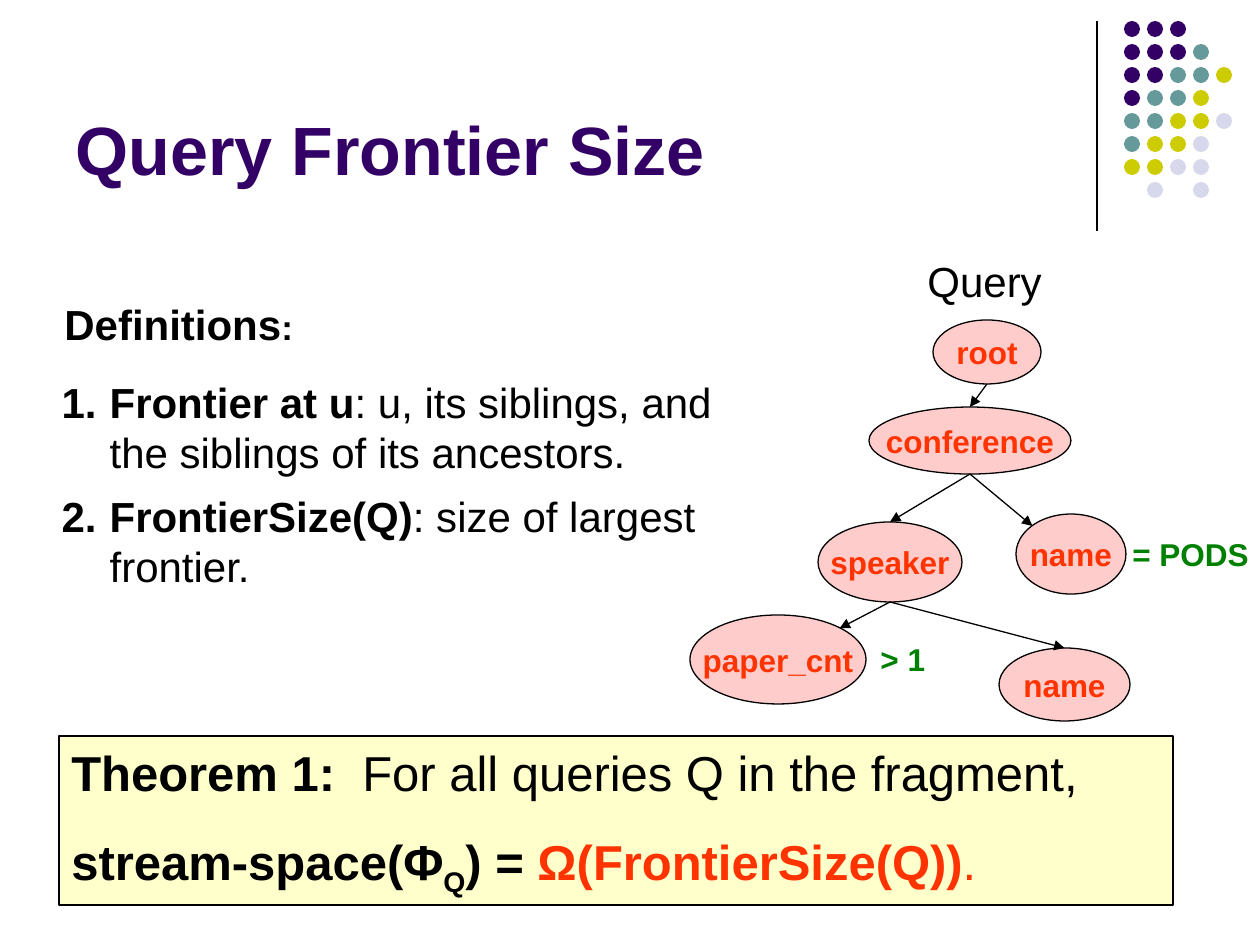
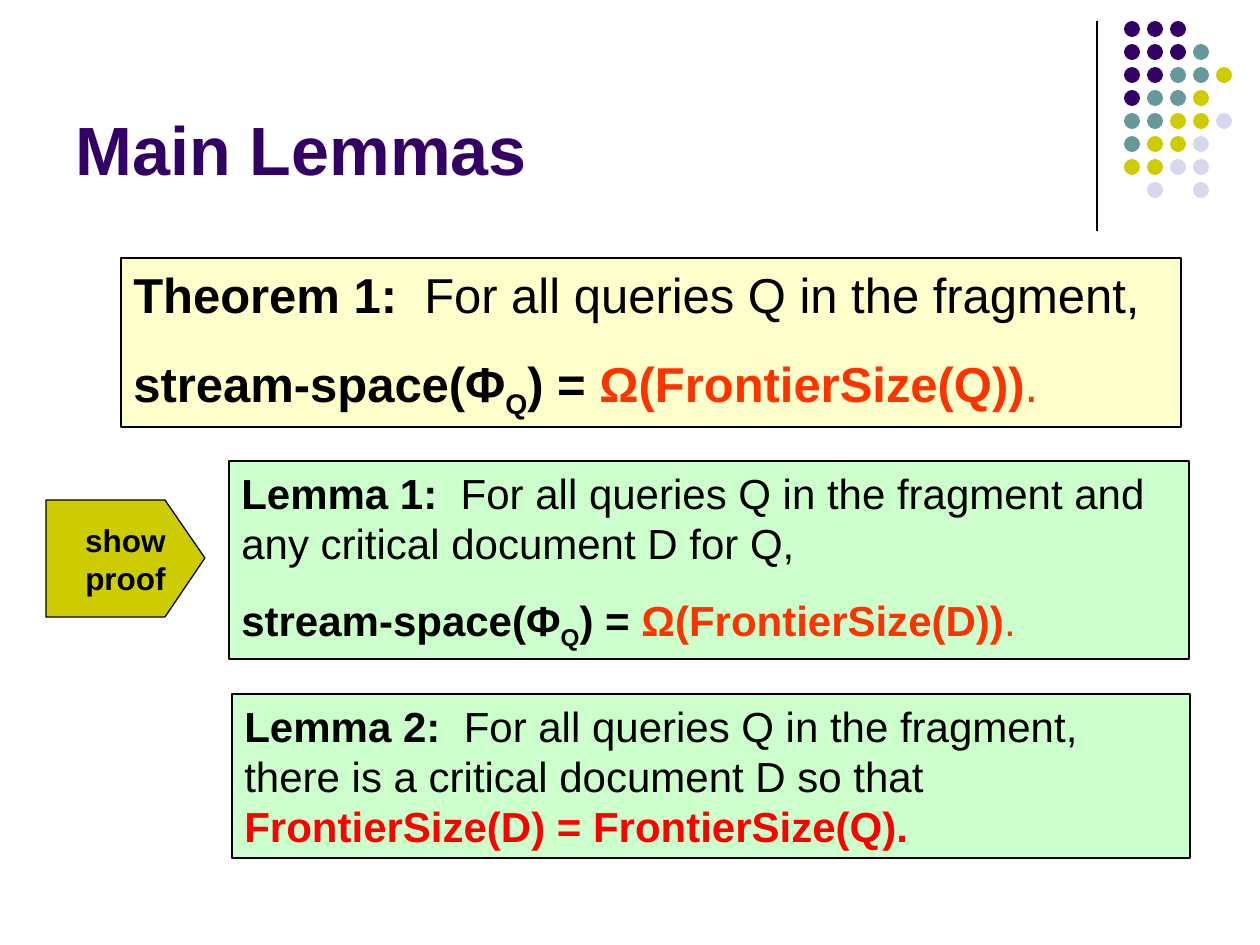
from dataclasses import dataclass

from lxml.etree import SubElement
from pptx import Presentation
from pptx.dml.color import RGBColor
from pptx.enum.shapes import MSO_CONNECTOR as Line, MSO_SHAPE as Shape
from pptx.enum.text import MSO_ANCHOR as Anchor, MSO_AUTO_SIZE as AutoSize, PP_ALIGN as Align
from pptx.oxml.ns import qn
from pptx.util import Emu, Pt


@dataclass(frozen=True)
class Theme:
    font: str = "Arial"
    ink: str = "000000"
    purple: str = "330066"
    teal: str = "669999"
    olive: str = "CCCC00"
    lilac: str = "D8D8EC"
    accent: str = "FF3300"
    red: str = "FF0000"
    green: str = "008000"
    node: str = "FFCCCC"
    theorem: str = "FFFFCC"
    lemma: str = "CCFFCC"
    title_size: float = 39
    theorem_size: float = 28
    text_size: float = 24
    colon_size: float = 20
    node_size: float = 18
    outline: float = 0.75


THEME = Theme()
PX_PER_INCH = 126
LAYOUT_LIST, LAYOUT_TITLE_ONLY = 1, 5

# Span styles: what a span changes from its paragraph
PLAIN = {}
BOLD = {"bold": True}
SUBSCRIPT = {"bold": True, "baseline": -25}
CLAIM = {"bold": True, "color": THEME.accent}
CLAIM_END = {"color": THEME.accent}
RESULT = {"bold": True, "color": THEME.red}


def bound(document):
    """Spans of the space bound formula for a query or document letter."""
    return [("stream-space(Φ", BOLD), ("Q", SUBSCRIPT), (") = ", BOLD),
            (f"Ω(FrontierSize({document}))", CLAIM), (".", CLAIM_END)]


# Master decoration
TITLE_BOX = (63, 16, 1040, 179)
RULE = ((1097, 21), (1097, 231))
DOT_ROWS = ["PPP", "PPPT", "PPTTY", "PTTY", "TTYYL", "TYYL", "YYLL", " L L"]
DOT_COLORS = {"P": THEME.purple, "T": THEME.teal, "Y": THEME.olive, "L": THEME.lilac}
DOT_ORIGIN, DOT_PITCH, DOT_SIZE = (1124, 21), 23, 16

# Query frontier slide
DEFINITIONS = [
    [("Frontier at u", BOLD), (": u, its siblings, and the siblings of its ancestors.", PLAIN)],
    [("FrontierSize(Q)", BOLD), (": size of largest frontier.", PLAIN)],
]
DEFINITIONS_BOX, LIST_INDENT = (49, 370, 687, 230), 48
LABELS = [
    ((52, 292, 255, 63), THEME.text_size, THEME.ink,
     [("Definitions", BOLD), (":", {"bold": True, "size": THEME.colon_size})]),
    ((915, 249, 170, 63), THEME.text_size, THEME.ink, [("Query", PLAIN)]),
    ((1120, 529, 150, 50), THEME.node_size, THEME.green, [("= PODS", BOLD)]),
    ((868, 634, 72, 50), THEME.node_size, THEME.green, [("> 1", BOLD)]),
]
QUERY_NODES = {
    "root": ("root", (933, 320, 108, 64)),
    "conference": ("conference", (869, 407, 202, 67)),
    "speaker": ("speaker", (818, 522, 144, 80)),
    "conference name": ("name", (1016, 514, 110, 80)),
    "paper count": ("paper_cnt", (690, 615, 176, 89)),
    "speaker name": ("name", (999, 648, 131, 73)),
}
QUERY_EDGES = [
    ("root", "conference", "top"),
    ("conference", "speaker", "top"),
    ("conference", "conference name", "top left"),
    ("speaker", "paper count", "top right"),
    ("speaker", "speaker name", "top"),
]
# Points on an ellipse as shares of its width and height
ELLIPSE_SITES = {"top": (0.5, 0), "bottom": (0.5, 1),
                 "top left": (0.15, 0.15), "top right": (0.85, 0.15)}

# Statements
THEOREM = [[("Theorem 1:  ", BOLD), ("For all queries Q in the fragment,", PLAIN)], bound("Q")]
LEMMA_1 = [[("Lemma 1:  ", BOLD),
            ("For all queries Q in the fragment and any critical document D for Q,", PLAIN)],
           bound("D")]
LEMMA_2 = [[("Lemma 2:  ", BOLD),
            ("For all queries Q in the fragment, there is a critical document D so that ", PLAIN),
            ("FrontierSize(D) = FrontierSize(Q).", RESULT)]]
THEOREM_LOOK = (THEME.theorem, THEME.theorem_size, 17.5)
LEMMA_LOOK = (THEME.lemma, THEME.text_size, 15)
FRONTIER_STATEMENTS = [((59, 736, 1114, 169), THEOREM, THEOREM_LOOK)]
LEMMA_STATEMENTS = [
    ((121, 258, 1060, 169), THEOREM, THEOREM_LOOK),
    ((229, 461, 960, 198), LEMMA_1, LEMMA_LOOK),
    ((232, 694, 958, 164), LEMMA_2, LEMMA_LOOK),
]
PROOF_FLAG = [(46, 500), (165, 500), (205, 558), (165, 617), (46, 617)]
PROOF_WORDS = [[("show", BOLD)], [("proof", BOLD)]]


def px(length):
    return Emu(round(length * 914400 / PX_PER_INCH))


def emus(lengths):
    return [px(length) for length in lengths]


def rgb(color):
    return RGBColor.from_string(color)


def write(frame, paragraphs, size, color=THEME.ink, align=Align.LEFT, space=0):
    """Fill a text frame with paragraphs, each a list of (text, style) spans."""
    for index, spans in enumerate(paragraphs):
        para = frame.paragraphs[0] if index == 0 else frame.add_paragraph()
        para.alignment = align
        para.space_before = Pt(space)
        para.font.name = THEME.font
        para.font.size = Pt(size)
        para.font.color.rgb = rgb(color)
        for text, style in spans:
            span = para.add_run()
            span.text = text
            span.font.bold = style.get("bold", False)
            if "size" in style:
                span.font.size = Pt(style["size"])
            if "color" in style:
                span.font.color.rgb = rgb(style["color"])
            if "baseline" in style:
                span._r.get_or_add_rPr().set("baseline", str(style["baseline"] * 1000))


def paint(shape, fill, outlined=True):
    shape.shadow.inherit = False
    shape.fill.solid()
    shape.fill.fore_color.rgb = rgb(fill)
    if outlined:
        shape.line.color.rgb = rgb(THEME.ink)
        shape.line.width = Pt(THEME.outline)
    else:
        shape.line.fill.background()


def add_line(page, start, end, arrow=False):
    line = page.shapes.add_connector(Line.STRAIGHT, *emus(start), *emus(end))
    line.line.color.rgb = rgb(THEME.ink)
    line.line.width = Pt(THEME.outline)
    properties = line.element.spPr
    if arrow:
        SubElement(properties.find(qn("a:ln")), qn("a:tailEnd"), type="triangle")
    SubElement(properties, qn("a:effectLst"))
    return line


def add_label(page, box, size, color, spans):
    frame = page.shapes.add_textbox(*emus(box)).text_frame
    frame.word_wrap = True
    write(frame, [spans], size, color)


def add_statement(page, box, paragraphs, look):
    fill, size, space = look
    panel = page.shapes.add_shape(Shape.RECTANGLE, *emus(box))
    paint(panel, fill)
    panel.text_frame.vertical_anchor = Anchor.TOP
    write(panel.text_frame, paragraphs, size, space=space)


def write_centred(shape, paragraphs, color):
    frame = shape.text_frame
    frame.word_wrap = False
    frame.vertical_anchor = Anchor.MIDDLE
    write(frame, paragraphs, THEME.node_size, color, Align.CENTER)


def ellipse_point(node, site):
    left, top, width, height = QUERY_NODES[node][1]
    across, down = ELLIPSE_SITES[site]
    return left + across * width, top + down * height


def add_query_tree(page):
    for name, box in QUERY_NODES.values():
        node = page.shapes.add_shape(Shape.OVAL, *emus(box))
        paint(node, THEME.node)
        write_centred(node, [[(name, BOLD)]], THEME.accent)
    for parent, child, site in QUERY_EDGES:
        add_line(page, ellipse_point(parent, "bottom"), ellipse_point(child, site), arrow=True)


def add_definitions(page):
    body = page.placeholders[1]
    body.left, body.top, body.width, body.height = emus(DEFINITIONS_BOX)
    body.text_frame.auto_size = AutoSize.NONE
    write(body.text_frame, DEFINITIONS, THEME.text_size, space=7.5)
    for para in body.text_frame.paragraphs:
        properties = para._p.get_or_add_pPr()
        properties.set("marL", str(px(LIST_INDENT)))
        properties.set("indent", str(-px(LIST_INDENT)))
        numbering = properties.makeelement(qn("a:buAutoNum"), {"type": "arabicPeriod"})
        properties.find(qn("a:defRPr")).addprevious(numbering)


def add_proof_flag(page):
    first, *others = PROOF_FLAG
    builder = page.shapes.build_freeform(*emus(first), scale=1.0)
    builder.add_line_segments([emus(point) for point in others], close=True)
    flag = builder.convert_to_shape()
    paint(flag, THEME.olive)
    write_centred(flag, PROOF_WORDS, THEME.ink)


def add_page(deck, layout, title):
    page = deck.slides.add_slide(deck.slide_layouts[layout])
    frame = page.shapes.title.text_frame
    frame.auto_size = AutoSize.NONE
    write(frame, [[(title, BOLD)]], THEME.title_size, THEME.purple)
    return page


def style_master(deck, page):
    """Place the title on the master; draw rule and dots on a page and move them there."""
    master = deck.slide_master
    title = master.placeholders[0]
    title.left, title.top, title.width, title.height = emus(TITLE_BOX)
    title.text_frame.vertical_anchor = Anchor.BOTTOM
    rule = add_line(page, *RULE)
    dots = page.shapes.add_group_shape()
    left, top = DOT_ORIGIN
    for row, codes in enumerate(DOT_ROWS):
        for column, code in enumerate(codes):
            if code in DOT_COLORS:
                box = (left + column * DOT_PITCH, top + row * DOT_PITCH, DOT_SIZE, DOT_SIZE)
                dot = dots.shapes.add_shape(Shape.OVAL, *emus(box))
                paint(dot, DOT_COLORS[code], outlined=False)
    for part in (rule, dots):
        master.shapes.element.append(part.element)


def main():
    deck = Presentation()
    deck.slide_width, deck.slide_height = emus((10 * PX_PER_INCH, 7.5 * PX_PER_INCH))

    frontier = add_page(deck, LAYOUT_LIST, "Query Frontier Size")
    style_master(deck, frontier)
    add_definitions(frontier)
    for label in LABELS:
        add_label(frontier, *label)
    add_query_tree(frontier)
    for statement in FRONTIER_STATEMENTS:
        add_statement(frontier, *statement)

    lemmas = add_page(deck, LAYOUT_TITLE_ONLY, "Main Lemmas")
    for statement in LEMMA_STATEMENTS:
        add_statement(lemmas, *statement)
    add_proof_flag(lemmas)

    deck.save("out.pptx")


if __name__ == "__main__":
    main()
